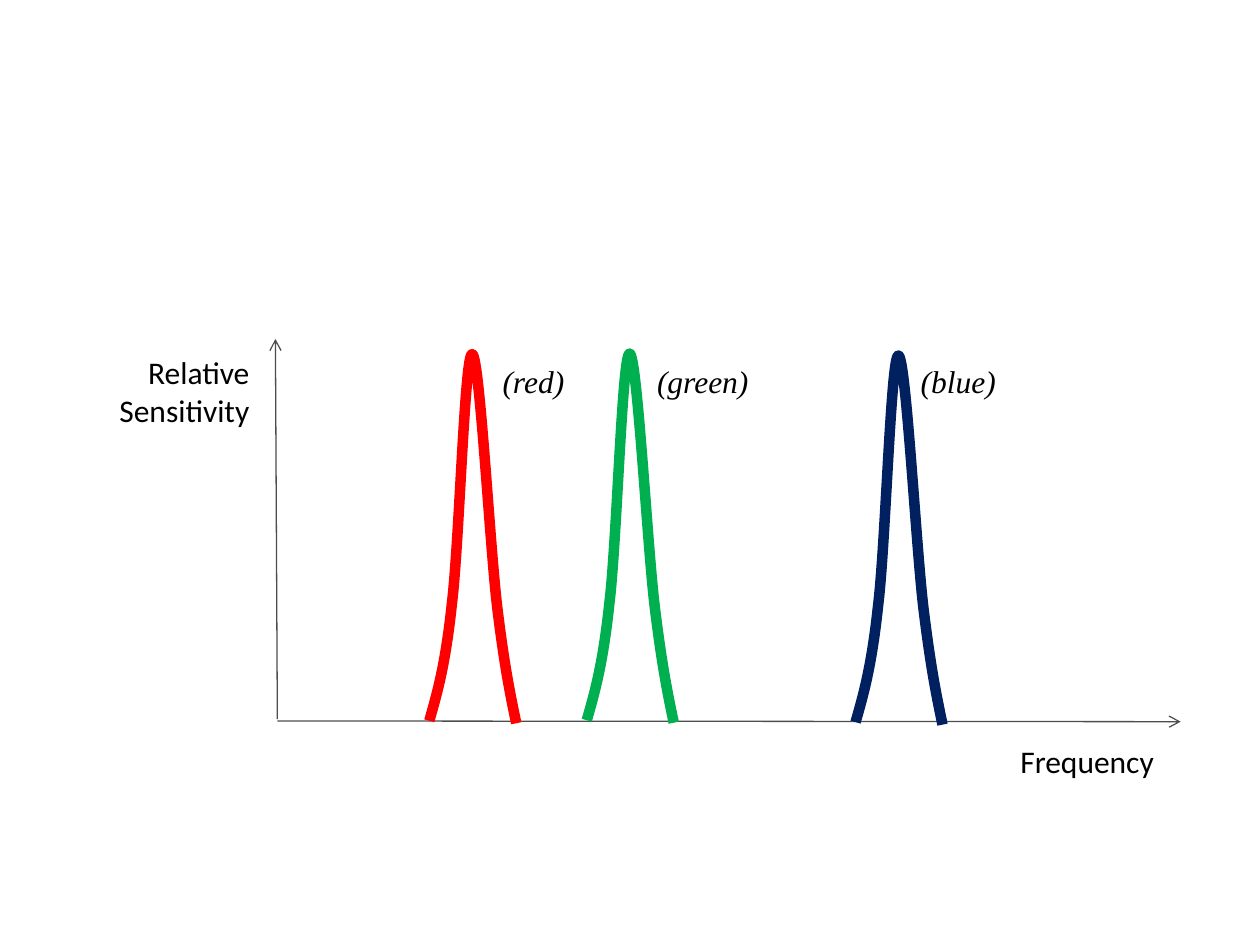
from lxml.etree import SubElement
from pptx import Presentation
from pptx.dml.color import RGBColor
from pptx.enum.shapes import MSO_CONNECTOR
from pptx.enum.text import MSO_AUTO_SIZE, PP_ALIGN
from pptx.oxml.ns import qn
from pptx.util import Pt


def color(hex_string):
    return RGBColor.from_string(hex_string)


def add_label(text, left, top, width, height, font="Calibri", italic=None, wrap=False):
    box = diagram.shapes.add_textbox(Pt(left), Pt(top), Pt(width), Pt(height))
    frame = box.text_frame
    frame.word_wrap = wrap
    frame.auto_size = MSO_AUTO_SIZE.SHAPE_TO_FIT_TEXT
    run = frame.paragraphs[0].add_run()
    run.text = text
    run.font.name = font
    run.font.size = Pt(18)
    run.font.italic = italic
    run.font.color.rgb = color("000000")
    return frame.paragraphs[0]


deck = Presentation()
deck.slide_width, deck.slide_height = Pt(720), Pt(540)
slide = deck.slides.add_slide(deck.slide_layouts[6])
diagram = slide.shapes.add_group_shape()

# Axes with open arrowheads
for x1, y1, x2, y2 in [(158.5, 411, 157.4, 193.7), (158.5, 412, 674.7, 412.4)]:
    axis = diagram.shapes.add_connector(
        MSO_CONNECTOR.STRAIGHT, Pt(x1), Pt(y1), Pt(x2), Pt(y2))
    axis.line.color.rgb = color("4D4D4D")
    axis.line.width = Pt(0.75)
    SubElement(axis.line._get_or_add_ln(), qn("a:tailEnd"), type="arrow")
    SubElement(axis._element.spPr, qn("a:effectLst"))

# Peak names and axis titles
SERIF = "Times New Roman"
add_label("(green)", 368.4, 203.4, 67.7, 29, SERIF, True)
add_label(" (blue)", 514.6, 203.4, 62.6, 29, SERIF, True)
add_label("Frequency", 576, 420.5, 92, 29)
sensitivity = add_label("Relative Sensitivity", 30.8, 198.4, 118.8, 51, wrap=True)
sensitivity.alignment = PP_ALIGN.RIGHT

# Control points of one peak, relative to its left foot, three per cubic segment
peak_controls = [
    (4.5, -15.8), (9.2, -31.7), (12.9, -66.8),
    (17.2, -101.5), (20.2, -210), (24.5, -209.5),
    (28.8, -208.9), (34.6, -99.4), (38.9, -64.3),
    (43.2, -29.3), (46.6, -13.7), (49.7, 1.4),
]
peaks = [("FF0000", 245.3, 411.9), ("00B050", 335.3, 411.6), ("002060", 488.9, 412.7)]
for hue, foot_x, foot_y in peaks:
    outline = diagram.shapes.build_freeform(Pt(foot_x), Pt(foot_y))
    outline.add_line_segments(
        [(Pt(foot_x + x), Pt(foot_y + y)) for x, y in peak_controls], close=False)
    peak = outline.convert_to_shape()
    peak.shadow.inherit = False
    peak.fill.background()
    peak.line.color.rgb = color(hue)
    peak.line.width = Pt(6)

    # Turn each three straight segments into one curve
    segments = list(peak._element.iter(qn("a:lnTo")))
    curve_parent = segments[0].getparent()
    for start in range(0, len(segments), 3):
        curve = SubElement(curve_parent, qn("a:cubicBezTo"))
        for segment in segments[start:start + 3]:
            curve.append(segment[0])
            curve_parent.remove(segment)

add_label("(red)", 280.1, 203.4, 50.4, 29, SERIF, True)

deck.save("out.pptx")
